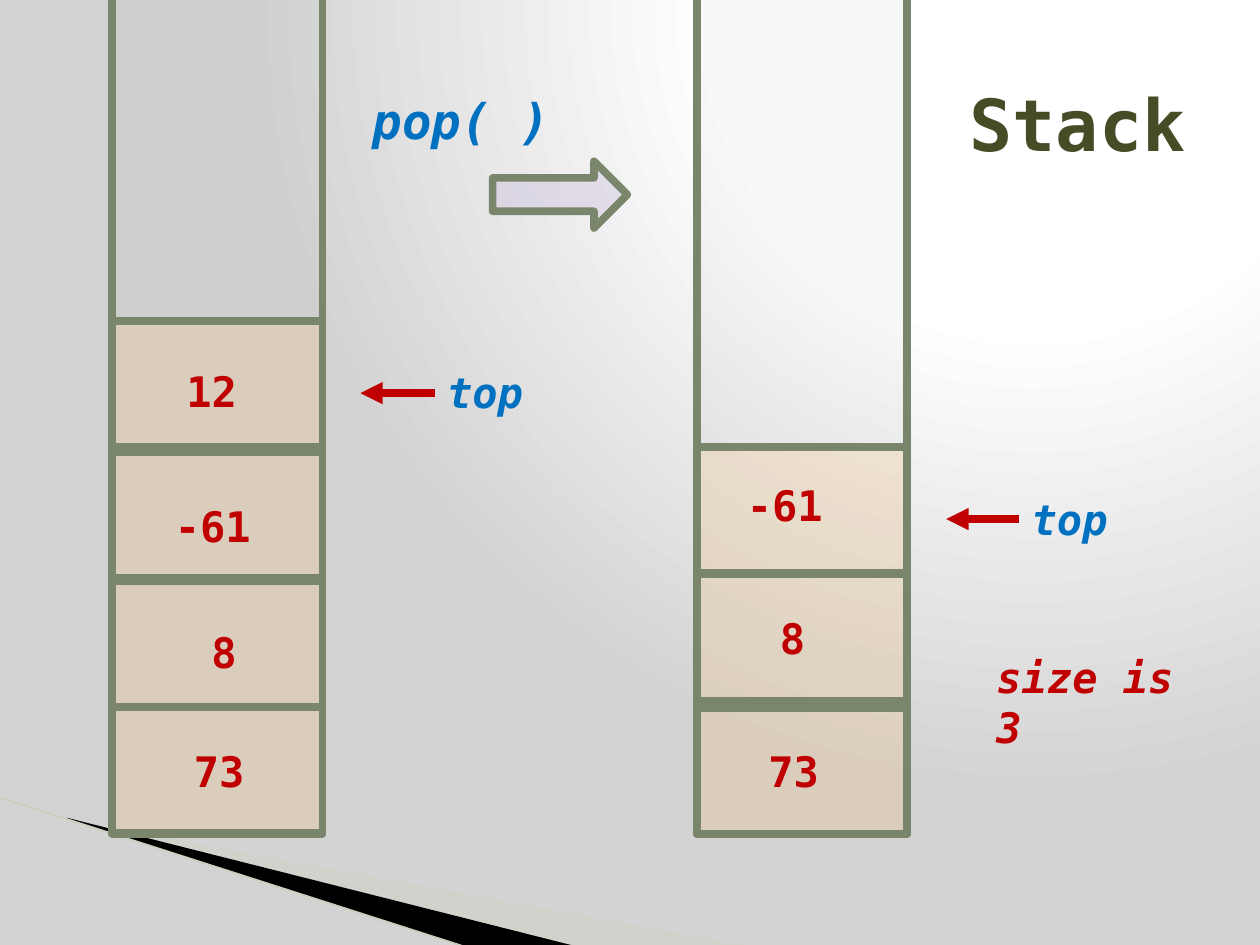
"""Build a slide that shows pop() taking the top value off a stack."""
from pptx import Presentation
from pptx.dml.color import RGBColor
from pptx.enum.shapes import MSO_CONNECTOR as Link, MSO_SHAPE as Preset
from pptx.enum.text import MSO_ANCHOR as Anchor, MSO_AUTO_SIZE as Fit, PP_ALIGN as Align
from pptx.oxml import parse_xml
from pptx.oxml.ns import nsdecls, qn
from pptx.util import Inches, Pt
from lxml.etree import SubElement

COLORS = {
    "column": "A5B592", "cell": "F8C891", "step": "C4B6D9", "border": "7A866C",
    "value": "C00000", "label": "0070C0", "title": "444D26",
    "swoosh": "CBD4C0", "shade": "000000", "curve": "C6D0BB",
    "light": "FFFFFF", "dim": "D3D3D3",
}
COLUMNS, ROWS = 100, 75
WIDTH, HEIGHT = Inches(10), Inches(7.5)


def grid(*lengths):
    return [round(length * WIDTH / COLUMNS) for length in lengths]


def write(frame, words, size, color, italic=False):
    frame.text = words
    font = frame.paragraphs[0].runs[0].font
    looks = {"name": "DejaVu Sans Mono", "size": Pt(size), "bold": True, "italic": italic}
    for attribute, look in looks.items():
        setattr(font, attribute, look)
    font.color.rgb = RGBColor.from_string(COLORS[color])


deck = Presentation()
deck.slide_width, deck.slide_height = WIDTH, HEIGHT
slide = deck.slides.add_slide(deck.slide_layouts[1])
shapes = slide.shapes

slide.background.fill.solid()
backdrop = slide.background.fill._xPr
stops = "".join(
    f'<a:gs pos="{share * 1000}"><a:srgbClr val="{COLORS[tone]}"/></a:gs>'
    for share, tone in ((0, "light"), (40, "light"), (100, "dim"))
)
backdrop.replace(backdrop.find(qn("a:solidFill")), parse_xml(
    f'<a:gradFill {nsdecls("a")} rotWithShape="1"><a:gsLst>{stops}</a:gsLst>'
    '<a:path path="circle"><a:fillToRect l="65000" t="0" r="0" b="98000"/></a:path></a:gradFill>'
))

title, call = shapes.title, slide.placeholders[1]
for holder, box in ((title, (5.1, 3.5, 90, 12.5)), (call, (27.4, 6.7, 67, 58.6))):
    holder.left, holder.top, holder.width, holder.height = grid(*box)
write(title.text_frame, "Stack", 41, "title")
title.text_frame.vertical_anchor = Anchor.MIDDLE
title.text_frame.paragraphs[0].alignment = Align.RIGHT
write(call.text_frame, "pop( )", 28, "label", italic=True)
call.text_frame.paragraphs[0].space_before = Pt(4)
call_format = call.text_frame.paragraphs[0]._p.get_or_add_pPr()
call_format.set("marL", str(Inches(0.12)))
call_format.set("indent", "0")
SubElement(call_format, qn("a:buNone"))

painted = []
for tone, opacity, corners in (
    ("swoosh", 40, ((5.5, 65.1), (59.5, 75.1), (45.6, 75.1), (5.5, 65))),
    ("shade", 100, ((5.3, 64.9), (45.7, 75.1), (37.2, 75.2), (5.4, 65))),
):
    outline = shapes.build_freeform(*grid(*corners[0]), scale=1.0)
    outline.add_line_segments([grid(*corner) for corner in corners[1:]], close=True)
    painted.append((outline.convert_to_shape(), tone, opacity, False))

for start, end, tone, weight, headed in (
    ((0, 63.3), (37.1, 75.2), "curve", 0.95, False),
    ((34.5, 31.2), (28.6, 31.2), "value", 4.25, True),
    ((80.9, 41.2), (75.1, 41.2), "value", 4.25, True),
):
    stroke = shapes.add_connector(Link.STRAIGHT, *grid(*start, *end))
    stroke.line.color.rgb = RGBColor.from_string(COLORS[tone])
    stroke.line.width = Pt(weight)
    if headed:
        SubElement(stroke.line._get_or_add_ln(), qn("a:tailEnd"), type="triangle")
    SubElement(stroke._element.spPr, qn("a:effectLst"))

stacks = ((8.9, (25.5, 56.1, 46.1, 35.9)), (55.3, (56.2, 45.6, 35.5)))
blocks = [(Preset.RECTANGLE, (left, -4.2, 16.7, 70.4), "column", 8) for left, _ in stacks]
blocks += [
    (Preset.RECTANGLE, (left, top, 16.7, 10), "cell", 28)
    for left, tops in stacks for top in tops
]
blocks.append((Preset.RIGHT_ARROW, (39.1, 12.8, 10.7, 5.3), "step", 35))
for preset, box, tone, opacity in blocks:
    painted.append((shapes.add_shape(preset, *grid(*box)), tone, opacity, True))

for part, tone, opacity, bordered in painted:
    part.shadow.inherit = False
    part.fill.solid()
    part.fill.fore_color.rgb = RGBColor.from_string(COLORS[tone])
    tint = part._element.spPr.find(qn("a:solidFill")).find(qn("a:srgbClr"))
    SubElement(tint, qn("a:alpha"), val=str(opacity * 1000))
    if bordered:
        part.line.color.rgb = RGBColor.from_string(COLORS["border"])
        part.line.width = Pt(4.33)
        SubElement(part.line._get_or_add_ln(), qn("a:round"))
    else:
        part.line.fill.background()

for words, left, top, width, color, italic in (
    ("12", 13.8, 28.5, 7.5, "value", False),
    ("-61", 12.9, 39.2, 8.3, "value", False),
    ("8", 15.8, 49.2, 7.5, "value", False),
    ("73", 14.4, 58.7, 7.5, "value", False),
    ("-61", 58.3, 37.6, 8.3, "value", False),
    ("8", 60.9, 48.1, 7.5, "value", False),
    ("73", 60, 58.7, 7.5, "value", False),
    ("top", 34.5, 28.6, 9.3, "label", True),
    ("top", 80.9, 38.7, 9.3, "label", True),
    ("size is 3", 78.1, 51.2, 19.8, "value", True),
):
    frame = shapes.add_textbox(*grid(left, top, width, 5)).text_frame
    frame.word_wrap = True
    frame.auto_size = Fit.SHAPE_TO_FIT_TEXT
    write(frame, words, 24, color, italic)

deck.save("out.pptx")
